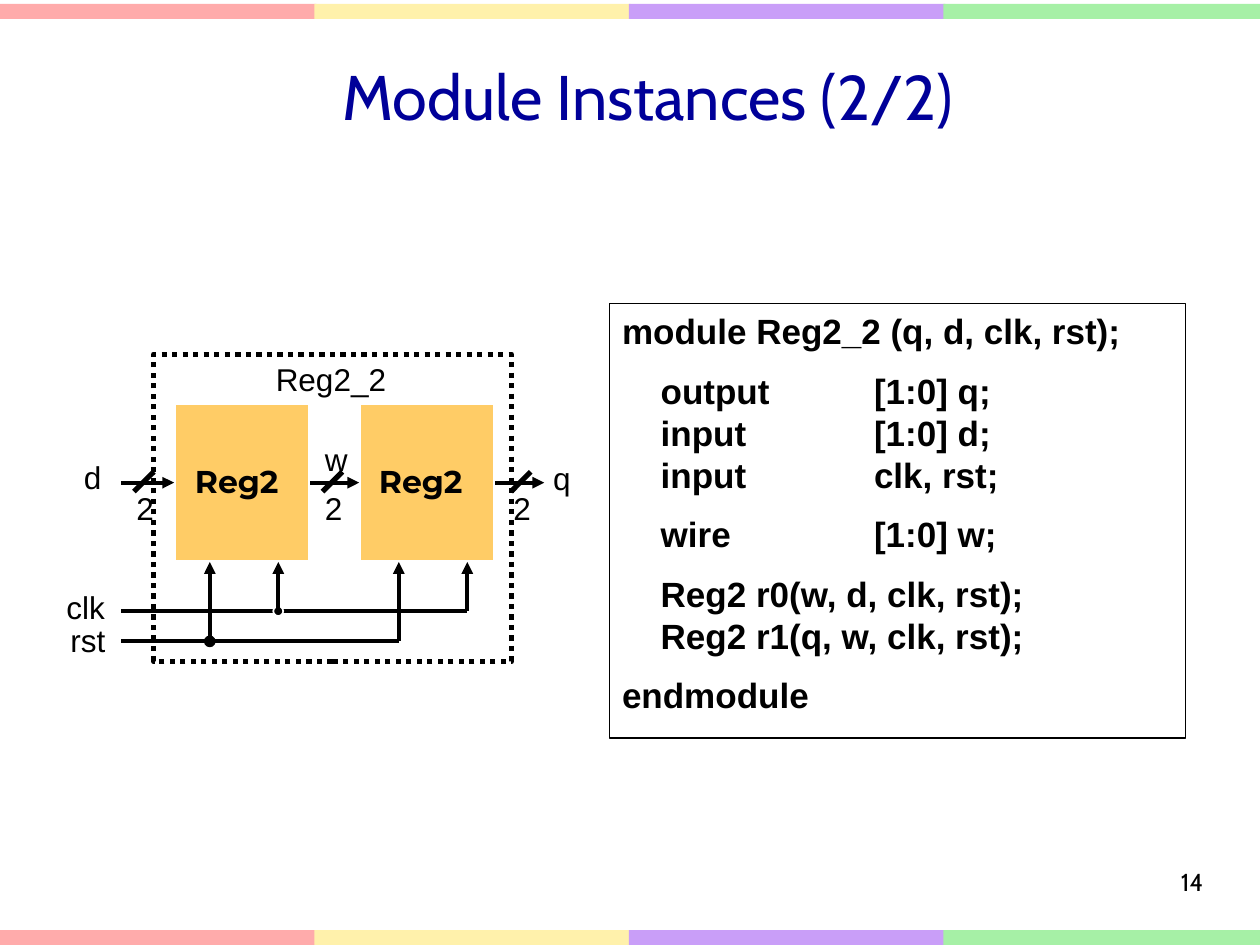
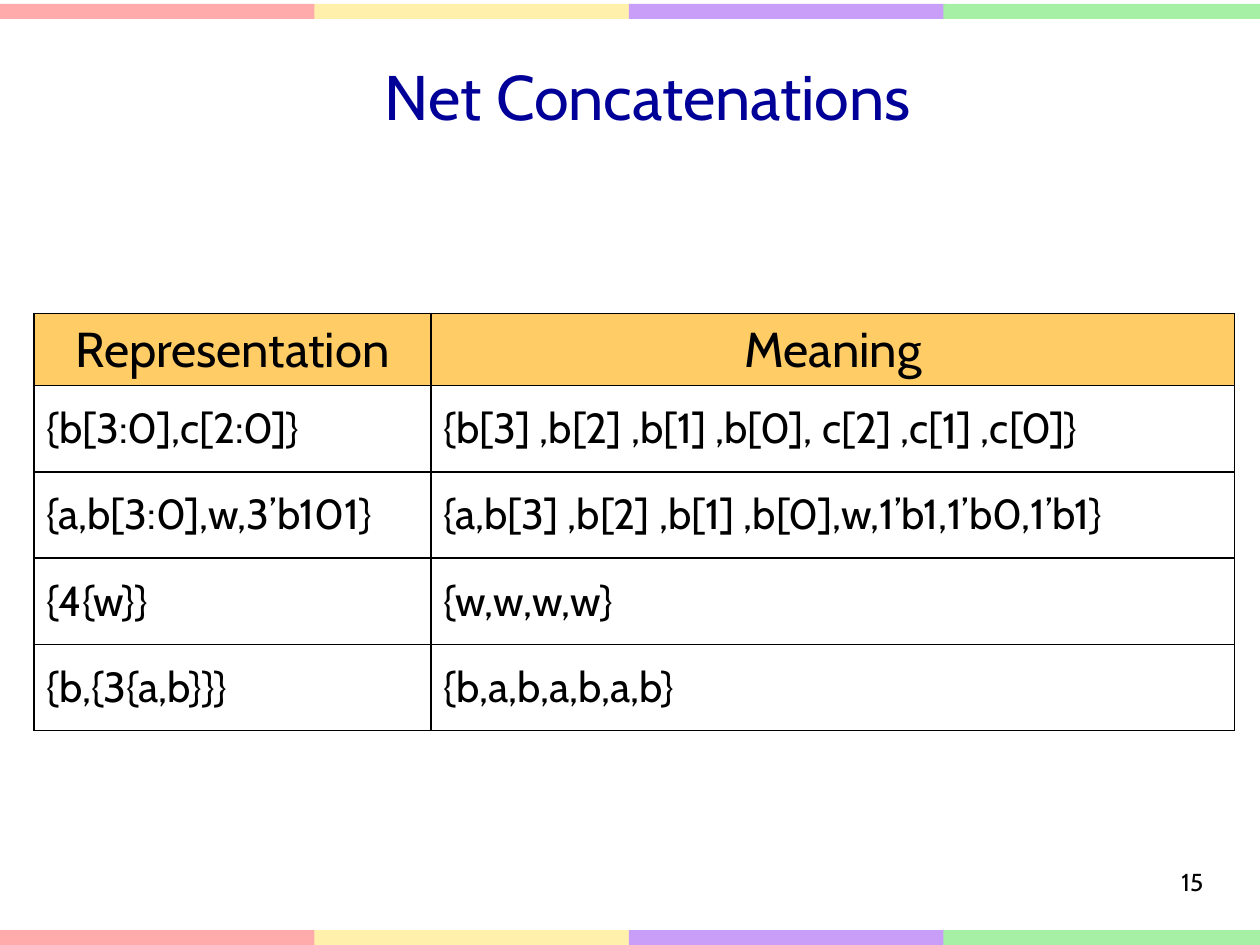
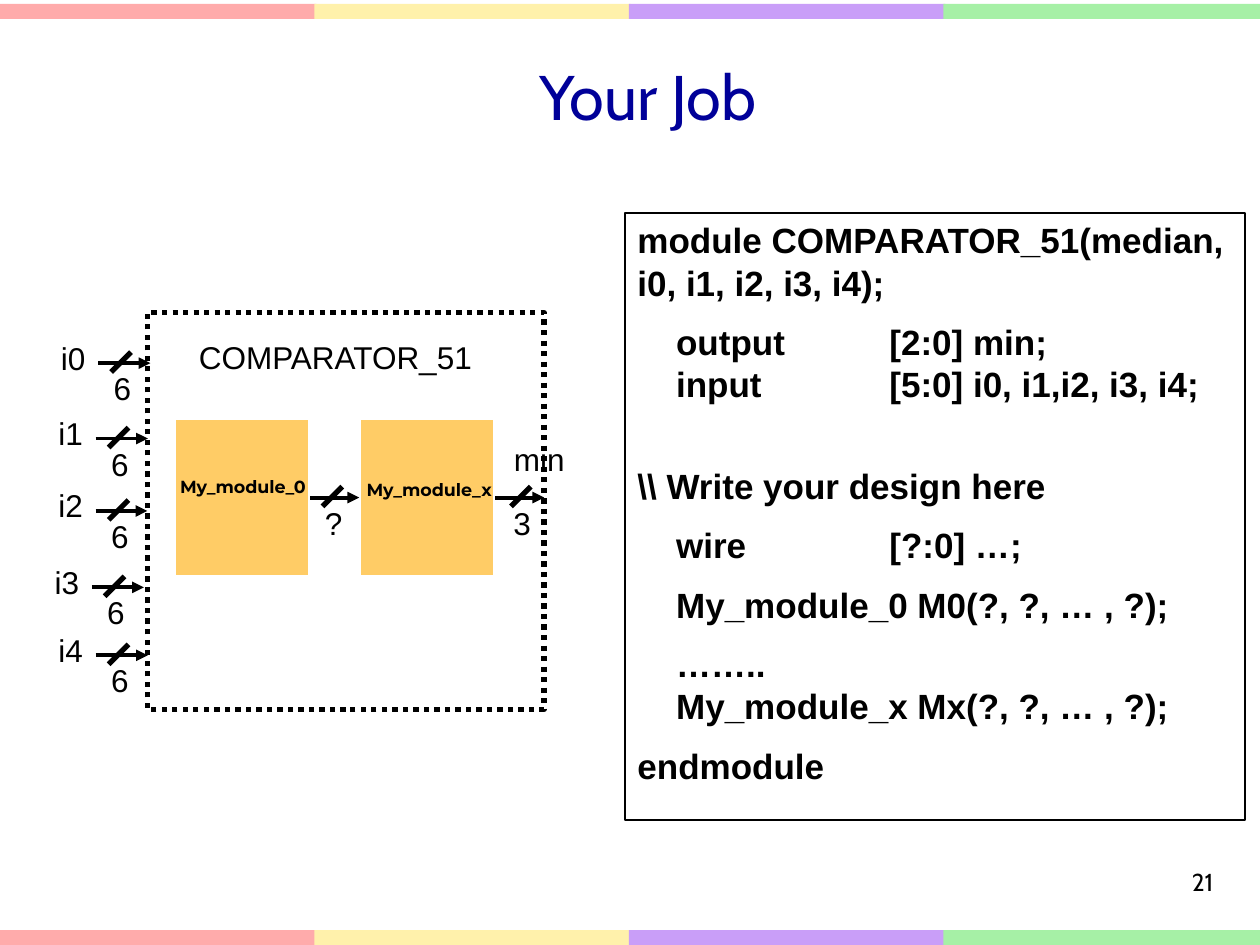
import pptx
import pptx.util
import pptx.dml.color
import pptx.enum.dml
import pptx.enum.shapes
import pptx.enum.text
import pptx.oxml.ns
from lxml import etree

Cm, Pt = pptx.util.Cm, pptx.util.Pt
RGBColor = pptx.dml.color.RGBColor
MSO_SHAPE = pptx.enum.shapes.MSO_SHAPE
PP_ALIGN = pptx.enum.text.PP_ALIGN
MSO_ANCHOR = pptx.enum.text.MSO_ANCHOR
qn = pptx.oxml.ns.qn

BLACK = RGBColor(0x00, 0x00, 0x00)
WHITE = RGBColor(0xFF, 0xFF, 0xFF)
NAVY = RGBColor(0x00, 0x00, 0x99)
ORANGE = RGBColor(0xFF, 0xCC, 0x66)
PINK = RGBColor(0xFF, 0xAB, 0xAB)
YELLOW = RGBColor(0xFF, 0xF1, 0xAB)
PURPLE = RGBColor(0xC9, 0x9E, 0xF8)
GREEN = RGBColor(0xA6, 0xF0, 0xA6)
HEAD, CODE, BLOCK = "Cabin", "Arial", "Montserrat"


def add_box(s, x, y, w, h, fill=None, line=None, width=1, kind=MSO_SHAPE.RECTANGLE):
    """Add a shadowless preset shape; lengths in cm, line width in points."""
    sp = s.shapes.add_shape(kind, Cm(x), Cm(y), Cm(w), Cm(h))
    sp.shadow.inherit = False
    for part, color in ((sp.fill, fill), (sp.line.fill, line)):
        if color is None:
            part.background()
        else:
            part.solid()
            part.fore_color.rgb = color
    if line is not None:
        sp.line.width = Pt(width)
    return sp


def add_line(s, x1, y1, x2, y2, width=2.25, arrow=True):
    cx = s.shapes.add_connector(pptx.enum.shapes.MSO_CONNECTOR.STRAIGHT,
                                Cm(x1), Cm(y1), Cm(x2), Cm(y2))
    cx.line.color.rgb = BLACK
    cx.line.width = Pt(width)
    if arrow:
        ln = cx.element.spPr.find(qn("a:ln"))
        etree.SubElement(ln, qn("a:tailEnd"), type="triangle")
    etree.SubElement(cx.element.spPr, qn("a:effectLst"))
    return cx


prs = pptx.Presentation()
prs.slide_width, prs.slide_height = Cm(25.4), Cm(19.05)

# Layout: title place and colour bands
layout = prs.slide_layouts[5]
for ph in list(layout.placeholders):
    if ph.placeholder_format.idx:
        ph.element.getparent().remove(ph.element)
title = layout.placeholders[0]
title.left, title.top, title.width, title.height = Cm(3.28), Cm(0.33), Cm(19.56), Cm(3.18)

instances, concat, job = [prs.slides.add_slide(layout) for _ in range(3)]
bands = [add_box(instances, i * 6.34, y, 6.38, 0.3, color)
         for y in (0.08, 18.75)
         for i, color in enumerate((PINK, YELLOW, PURPLE, GREEN))]
for sp in bands:
    layout.shapes.element.append(sp.element)

# Titles and page numbers
for s, heading, number, width in (
    (instances, "Module Instances (2/2)", "14", 6.3),
    (concat, "Net Concatenations", "15", 6.3),
    (job, "Your Job", "21", 6.5),
):
    s.shapes.title.text_frame.text = heading
    s.shapes.title.text_frame.vertical_anchor = MSO_ANCHOR.MIDDLE
    page = s.shapes.add_textbox(Cm(18.21), Cm(17.35), Cm(width), Cm(1.32))
    page.text_frame.word_wrap = True
    page.text_frame.text = number
    for sp, align, size, color in ((s.shapes.title, PP_ALIGN.CENTER, 36, NAVY),
                                   (page, PP_ALIGN.RIGHT, 14, BLACK)):
        p = sp.text_frame.paragraphs[0]
        p.alignment = align
        font = p.runs[0].font
        font.name, font.size, font.color.rgb = HEAD, Pt(size), color

# Code listings: (space before in points, text) for each paragraph
listings = (
    (instances, (12.29, 6.12, 11.61, 8.76), (
        (0, "module Reg2_2 (q, d, clk, rst);"),
        (10, "\toutput\t[1:0] q;\n\tinput\t[1:0] d;\n\tinput\tclk, rst;"),
        (10, "\twire\t[1:0] w;"),
        (10, "\tReg2 r0(w, d, clk, rst);\n\tReg2 r1(q, w, clk, rst);"),
        (10, "endmodule"),
    )),
    (job, (12.6, 4.29, 12.5, 12.24), (
        (0, "module COMPARATOR_51(median, i0, i1, i2, i3, i4);"),
        (10, "\toutput\t[2:0] min;\n\tinput\t[5:0] i0, i1,i2, i3, i4;"),
        (34, "\\\\ Write your design here"),
        (10, "\twire\t[?:0] …;"),
        (10, "\tMy_module_0 M0(?, ?, … , ?);"),
        (10, "\t……..\n\tMy_module_x Mx(?, ?, … , ?);"),
        (10, "endmodule"),
    )),
)
for s, place, paragraphs in listings:
    tf = add_box(s, *place, line=BLACK).text_frame
    tf.word_wrap = True
    tf.vertical_anchor = MSO_ANCHOR.TOP
    for i, (space, text) in enumerate(paragraphs):
        p = tf.add_paragraph() if i else tf.paragraphs[0]
        p.text = text
        p.alignment = PP_ALIGN.LEFT
        p.line_spacing, p.space_before = Pt(24), Pt(space)
        tabs = etree.SubElement(p._p.get_or_add_pPr(), qn("a:tabLst"))
        for stop in (0.78, 5.08):
            etree.SubElement(tabs, qn("a:tab"), pos=str(Cm(stop)), algn="l")
        for r in p.runs:
            r.font.name, r.font.size, r.font.bold = CODE, Pt(20), True
            r.font.color.rgb = BLACK

# Block diagrams: dotted frame, two blocks, the bus between them and the output
slashes, first_blocks, frames = [], [], []
for s, place, top, bus_width, out_width in (
    (instances, (3.1, 7.14, 7.21, 6.2), 8.13, "2", "2"),
    (job, (2.97, 6.3, 8, 8), 8.43, "?", "3"),
):
    frame = add_box(s, *place, line=BLACK, width=3)
    frame.line.dash_style = pptx.enum.dml.MSO_LINE.ROUND_DOT
    frames.append(frame)
    left, right = [add_box(s, x, top, 2.74, 3.2, ORANGE, WHITE, 2.25) for x in (3.51, 7.24)]
    first_blocks.append(left)
    middle = top + 1.6
    bus = add_line(s, 6.25, middle, 7.24, middle)
    bus.begin_connect(left, 3)
    bus.end_connect(right, 1)
    add_line(s, 9.98, middle, 10.97, middle).begin_connect(right, 3)
    slashes += [(s, 6.7, middle, bus_width), (s, 10.5, middle, out_width)]

# Text labels: slide, text, left, top, width, size, font
labels = [
    (instances, "Reg2_2", 5.31, 7.14, 2.79, 18, CODE),
    (instances, "Reg2", 3.68, 9.19, 2.39, 18, BLOCK),
    (instances, "Reg2", 7.39, 9.19, 2.39, 18, BLOCK),
    (instances, "w", 6.3, 8.74, 1.19, 18, CODE),
    (instances, "q", 10.9, 9.12, 1.47, 18, CODE),
    (instances, "clk", 1.09, 11.73, 1.47, 18, CODE),
    (instances, "rst", 1.17, 12.4, 1.3, 18, CODE),
    (job, "COMPARATOR_51", 3.76, 6.68, 6.35, 18, CODE),
    (job, "My_module_0", 3.38, 9.47, 3.18, 10, BLOCK),
    (job, "My_module_x", 7.14, 9.53, 3.18, 10, BLOCK),
    (job, "min", 10.11, 8.74, 2.79, 18, CODE),
]

# Input arrows
for s, name, x, y, bits, target in (
    (instances, "d", 2.44, 9.73, "2", first_blocks[0]),
    (job, "i0", 1.98, 7.32, "6", None),
    (job, "i1", 1.93, 8.84, "6", None),
    (job, "i2", 1.93, 10.3, "6", frames[1]),
    (job, "i3", 1.85, 11.84, "6", None),
    (job, "i4", 1.93, 13.21, "6", None),
):
    arrow = add_line(s, x, y, x + 1.05, y)
    if target is not None:
        arrow.end_connect(target, 1)
    slashes.append((s, x + 0.46, y, bits))
    labels.append((s, name, x - 1, y - 0.62, 1.19, 18, CODE))

for s, x, y, bits in slashes:
    add_line(s, x + 0.2, y - 0.22, x - 0.2, y + 0.18, width=3, arrow=False)
    labels.append((s, bits, x - 0.4, y, 0.79, 18, CODE))

# Clock and reset wires
for y, risers, outline in ((12.32, (5.61, 9.42), WHITE), (12.93, (4.23, 8.04), BLACK)):
    add_line(instances, 2.44, y, risers[1], y, arrow=False)
    add_box(instances, risers[0] - 0.1, y - 0.1, 0.2, 0.2, BLACK, outline, kind=MSO_SHAPE.OVAL)
    for x in risers:
        add_line(instances, x, y, x, 11.33)

for s, text, x, y, w, size, face in labels:
    tf = s.shapes.add_textbox(Cm(x), Cm(y), Cm(w), Pt(1.2 * size) + Cm(0.25)).text_frame
    tf.word_wrap = True
    tf.text = text
    p = tf.paragraphs[0]
    p.line_spacing = Pt(1.2 * size)
    font = p.runs[0].font
    font.name, font.size, font.bold = face, Pt(size), face == BLOCK
    font.color.rgb = BLACK

# Concatenation table
rows = (
    ("Representation", "Meaning"),
    ("{b[3:0],c[2:0]}", "{b[3] ,b[2] ,b[1] ,b[0], c[2] ,c[1] ,c[0]}"),
    ("{a,b[3:0],w,3’b101}", "{a,b[3] ,b[2] ,b[1] ,b[0],w,1’b1,1’b0,1’b1}"),
    ("{4{w}}", "{w,w,w,w}"),
    ("{b,{3{a,b}}}", "{b,a,b,a,b,a,b}"),
)
table = concat.shapes.add_table(len(rows), 2, Cm(0.69), Cm(6.32), Cm(24.2), Cm(8.41)).table
table.first_row = table.horz_banding = False
table.columns[0].width, table.columns[1].width = Cm(8), Cm(16.2)
for i, row in enumerate(rows):
    header = i == 0
    table.rows[i].height = Cm(1.45 if header else 1.74)
    for j, text in enumerate(row):
        cell = table.cell(i, j)
        cell.text_frame.text = text
        cell.vertical_anchor = MSO_ANCHOR.TOP if header else MSO_ANCHOR.MIDDLE
        p = cell.text_frame.paragraphs[0]
        p.alignment = PP_ALIGN.CENTER if header else PP_ALIGN.LEFT
        font = p.runs[0].font
        font.name, font.size, font.color.rgb = HEAD, Pt(28 if header else 24), BLACK
        if header:
            cell.fill.solid()
            cell.fill.fore_color.rgb = ORANGE
        else:
            cell.fill.background()
        tcPr = cell._tc.get_or_add_tcPr()
        for k, side in enumerate(("a:lnL", "a:lnR", "a:lnT", "a:lnB")):
            ln = etree.Element(qn(side), w=str(Pt(1)))
            fill = etree.SubElement(ln, qn("a:solidFill"))
            etree.SubElement(fill, qn("a:srgbClr"), val=str(BLACK))
            tcPr.insert(k, ln)

prs.save("out.pptx")
